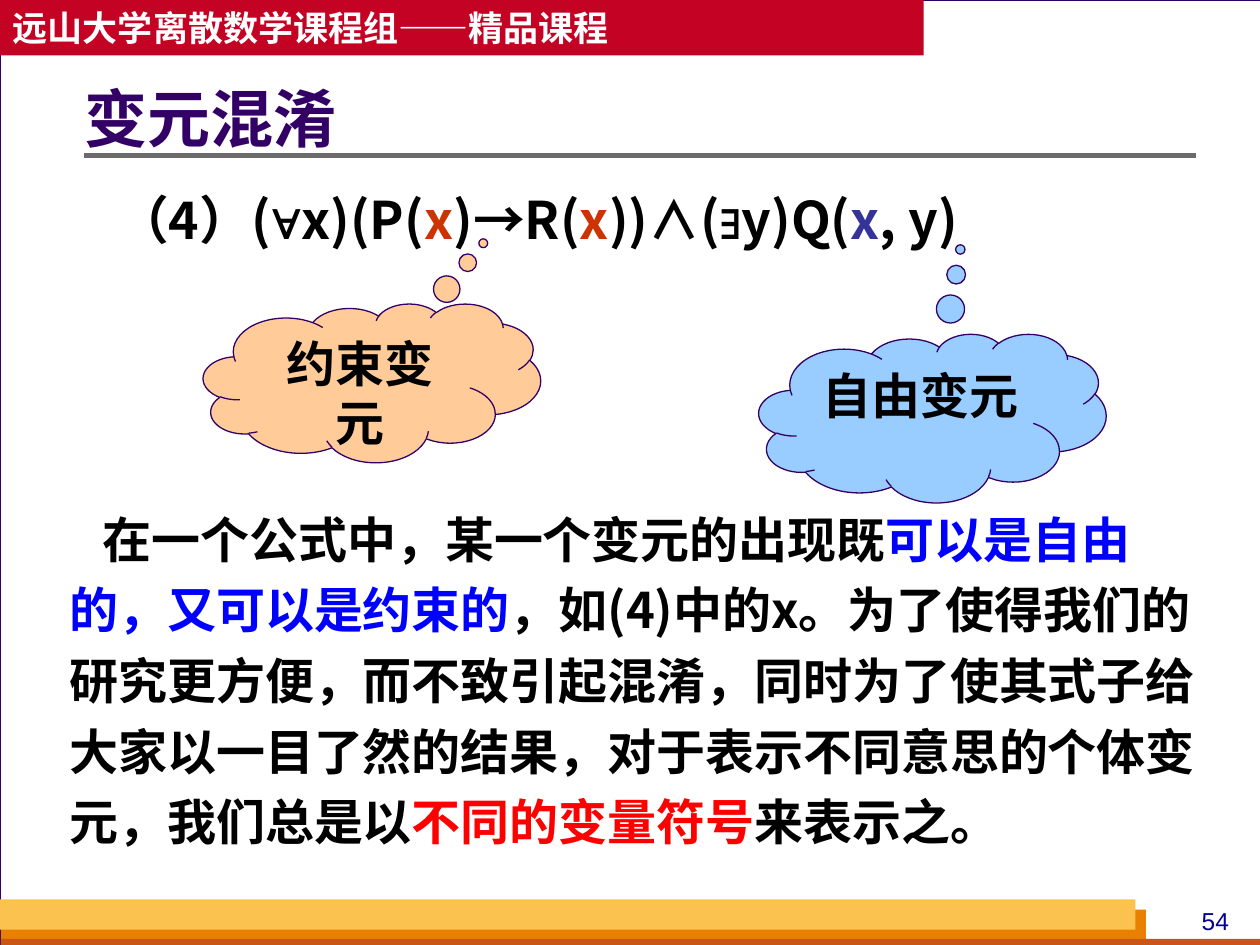
from lxml import etree
from pptx import Presentation
from pptx import util as u
from pptx.dml.color import RGBColor
from pptx.enum import shapes, text
from pptx.oxml.ns import qn

HAN = "Noto Sans CJK SC"
LATIN = "Arial"
BLACK, WHITE, PURPLE = "000000", "FFFFFF", "330066"
INSET = (0.26, 0.13, 0.26, 0.13)


def paint(color_format, color):
    """Give a colour format an RGB colour from a hex string."""
    color_format.rgb = RGBColor.from_string(color)


def place(shape, left, top, width, height):
    """Position a shape in centimetres."""
    shape.left, shape.top = u.Cm(left), u.Cm(top)
    shape.width, shape.height = u.Cm(width), u.Cm(height)


def write(shape, spans, size, bold=True, align=text.PP_ALIGN.LEFT, anchor=text.MSO_ANCHOR.TOP,
          inset=INSET, wrap=True, spacing=1.0, before=0, indent=0):
    """Fill a shape with one paragraph of (words, colour, font) spans."""
    frame = shape.text_frame
    frame.auto_size = text.MSO_AUTO_SIZE.NONE
    frame.word_wrap = wrap
    frame.vertical_anchor = anchor
    frame.margin_left, frame.margin_top, frame.margin_right, frame.margin_bottom = map(u.Cm, inset)
    para = frame.paragraphs[0]
    para.alignment, para.line_spacing, para.space_before = align, spacing, u.Pt(before)
    properties = para._p.get_or_add_pPr()
    properties.set("marL", "0")
    properties.set("indent", str(u.Cm(indent)))
    properties.set("hangingPunct", "0")
    etree.SubElement(properties, qn("a:buNone"))
    for words, color, font in spans:
        span = para.add_run()
        span.text = words
        span.font.size, span.font.bold, span.font.name = u.Pt(size), bold, font
        paint(span.font.color, color)
        etree.SubElement(span._r.get_or_add_rPr(), qn("a:ea"), typeface=font)


def add_block(page, kind, box, fill, outline=None):
    """Add a flat preset shape with an optional thin outline."""
    shape = page.shapes.add_shape(kind, *map(u.Cm, box))
    shape.shadow.inherit = False
    shape.fill.solid()
    paint(shape.fill.fore_color, fill)
    if outline:
        paint(shape.line.color, outline)
        shape.line.width = u.Pt(0.75)
    else:
        shape.line.fill.background()
    return shape


def add_rule(page, left, right, top):
    """Add the grey rule below the title."""
    rule = page.shapes.add_connector(shapes.MSO_CONNECTOR.STRAIGHT, u.Cm(left), u.Cm(top),
                                     u.Cm(right), u.Cm(top))
    paint(rule.line.color, "6B6B6B")
    rule.line.width = u.Pt(3)
    etree.SubElement(rule._element.spPr, qn("a:effectLst"))


def add_cloud(page, box, pointer, fill, label):
    """Add a labelled thought cloud whose bubbles lead to a variable."""
    cloud = add_block(page, shapes.MSO_SHAPE.CLOUD_CALLOUT, box, fill, PURPLE)
    cloud.adjustments[0], cloud.adjustments[1] = pointer
    write(cloud, [(label, BLACK, LATIN)], 28, align=text.PP_ALIGN.CENTER)


def add_frame(page):
    """Add the page border, header band, footer bars and page number."""
    rectangle = shapes.MSO_SHAPE.RECTANGLE
    add_block(page, rectangle, (0, 0, 25.42, 19.05), WHITE, PURPLE)
    header = add_block(page, rectangle, (0, 0, 18.62, 1.12), "C30224")
    write(header, [("远山大学离散数学课程组——精品课程", WHITE, HAN)], 20,
          anchor=text.MSO_ANCHOR.MIDDLE, wrap=False)
    for box, fill in (((0.02, 18.34, 23.08, 0.71), "E88000"),
                      ((0.02, 18.93, 25.4, 0.2), "C95616"),
                      ((0, 18.13, 22.89, 0.61), "FCC24F")):
        add_block(page, rectangle, box, fill)
    number = page.shapes.add_textbox(*map(u.Cm, (23.7, 18.13, 1.6, 0.86)))
    write(number, [("54", "000099", LATIN)], 14, bold=False, align=text.PP_ALIGN.CENTER, before=8.8)
    add_rule(page, 1.7, 24.1, 3.13)


def add_heading(page):
    """Fill the title and the formula placeholders above the frame."""
    title, formula = page.shapes.title, page.placeholders[1]
    for holder in (title, formula):
        holder.element.getparent().append(holder.element)
    place(title, 1.7, 1.17, 22.4, 2.57)
    write(title, [("变元混淆", PURPLE, HAN)], 36, anchor=text.MSO_ANCHOR.MIDDLE,
          inset=(0, 0.13, 0.25, 0.13), spacing=0.9)
    place(formula, 2.1, 3.53, 22.4, 2.34)
    bound, free = "CC3300", "333399"
    write(formula, [("（4）(", BLACK, HAN), ("∀", BLACK, LATIN), ("x)(P(", BLACK, HAN),
                    ("x", bound, HAN), (")→R(", BLACK, HAN), ("x", bound, HAN),
                    ("))∧(", BLACK, HAN), ("∃", BLACK, LATIN), ("y)Q(", BLACK, HAN),
                    ("x", free, HAN), (", y)", BLACK, HAN)], 29.6, spacing=1.1, before=8)


def add_explanation(page):
    """Add the paragraph on free and bound variables."""
    box = page.shapes.add_textbox(*map(u.Cm, (1.3, 9.93, 23.06, 7.32)))
    write(box, [("在一个公式中，某一个变元的出现既", BLACK, HAN),
                ("可以是自由的，又可以是约束的", "0000FF", HAN),
                ("，如(4)中的x。为了使得我们的研究更方便，而不致引起混淆，"
                 "同时为了使其式子给大家以一目了然的结果，"
                 "对于表示不同意思的个体变元，我们总是以", BLACK, HAN),
                ("不同的变量符号", "FF0000", HAN),
                ("来表示之。", BLACK, HAN)], 28,
          inset=(0.1,) * 4, spacing=1.2, before=7, indent=0.67)


def main():
    """Build and save the slide."""
    deck = Presentation()
    deck.slide_width, deck.slide_height = u.Cm(25.4), u.Cm(19.05)
    page = deck.slides.add_slide(deck.slide_layouts[1])
    page.background.fill.solid()
    paint(page.background.fill.fore_color, "D8DADA")
    add_frame(page)
    add_heading(page)
    add_cloud(page, (4.1, 6.12, 6.8, 3.2), (0.33, -0.88), "FFCC99", "约束变元")
    add_cloud(page, (15.3, 6.73, 7, 3.4), (0.08, -1), "99CCFF", "自由变元")
    add_explanation(page)
    deck.save("out.pptx")


if __name__ == "__main__":
    main()
